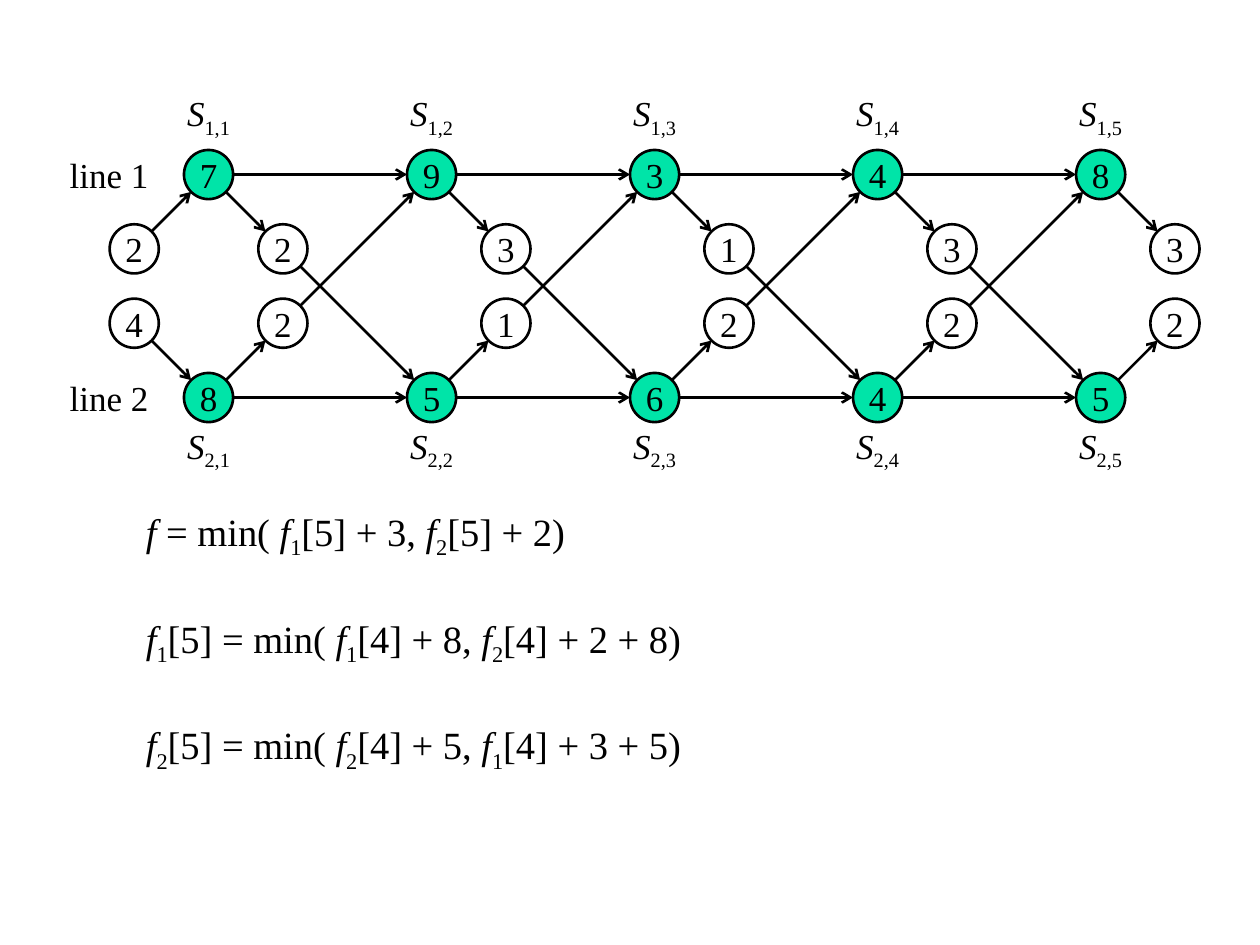
from math import hypot
from typing import NamedTuple

from lxml.etree import SubElement
from pptx import Presentation
from pptx.dml.color import RGBColor
from pptx.enum.shapes import MSO_CONNECTOR as Connector, MSO_SHAPE as Shape
from pptx.enum.text import MSO_ANCHOR as Anchor, PP_ALIGN as Align
from pptx.oxml.ns import qn
from pptx.util import Inches, Pt

COLORS = {"ink": "000000", "station": "00E4A8"}
FONT = "Times New Roman"
LABEL_SIZE, FORMULA_SIZE = 20, 22
LINE_WIDTH = Pt(1.5)

DIAMETER = 0.39
UNIT = 0.59  # step between neighbouring nodes, across and down
PITCH = 3 * UNIT  # step between stations of one line
FIRST_X, FIRST_Y = 1.655, 1.385

STATION_TIMES = [(7, 9, 3, 4, 8), (8, 5, 6, 4, 5)]
TRANSFER_TIMES = [(2, 3, 1, 3, 3), (2, 1, 2, 2, 2)]  # the last ones are exit times
ENTRY_TIMES = (2, 4)

FORMULAS = [
    "/f |= min( |/f|_1|[5] + 3, |/f|_2|[5] + 2)",
    "/f|_1|[5] = min( |/f|_1|[4] + 8, |/f|_2|[4] + 2 + 8)",
    "/f|_2|[5] = min( |/f|_2|[4] + 5, |/f|_1|[4] + 3 + 5)",
]


class Node(NamedTuple):
    x: float
    y: float
    time: int
    is_station: bool = False


def color(name: str) -> RGBColor:
    return RGBColor.from_string(COLORS[name])


def add_runs(paragraph, markup: str, size: int) -> None:
    """Add runs split at "|"; a leading "/" means italic, "_" means subscript."""
    for part in markup.split("|"):
        run = paragraph.add_run()
        run.text = part.lstrip("/_")
        run.font.name, run.font.size = FONT, Pt(size)
        run.font.color.rgb = color("ink")
        run.font.italic = part.startswith("/")
        if part.startswith("_"):
            run.font._element.set("baseline", "-25000")


def fill_frame(text_frame, markup: str, bottom: float = 0) -> None:
    """Put one centred line in the frame, raised by the bottom margin."""
    text_frame.word_wrap = False
    text_frame.vertical_anchor = Anchor.MIDDLE
    text_frame.margin_left = text_frame.margin_right = text_frame.margin_top = 0
    text_frame.margin_bottom = Inches(bottom)
    paragraph = text_frame.paragraphs[0]
    paragraph.alignment = Align.CENTER
    add_runs(paragraph, markup, LABEL_SIZE)


def add_label(slide, markup: str, center_x: float, center_y: float,
              width: float = DIAMETER, bottom: float = 0) -> None:
    box = slide.shapes.add_textbox(
        Inches(center_x - width / 2), Inches(center_y - DIAMETER / 2),
        Inches(width), Inches(DIAMETER))
    fill_frame(box.text_frame, markup, bottom)


def add_node(slide, node: Node) -> None:
    circle = slide.shapes.add_shape(
        Shape.OVAL, Inches(node.x - DIAMETER / 2), Inches(node.y - DIAMETER / 2),
        Inches(DIAMETER), Inches(DIAMETER))
    circle.shadow.inherit = False
    if node.is_station:
        circle.fill.solid()
        circle.fill.fore_color.rgb = color("station")
    else:
        circle.fill.background()
    circle.line.color.rgb = color("ink")
    circle.line.width = LINE_WIDTH
    fill_frame(circle.text_frame, str(node.time))


def add_arrow(slide, start: Node, end: Node) -> None:
    """Draw an arrow from the rim of one circle to the rim of another."""
    across, down = end.x - start.x, end.y - start.y
    scale = DIAMETER / 2 / hypot(across, down)
    trim_x, trim_y = across * scale, down * scale
    arrow = slide.shapes.add_connector(
        Connector.STRAIGHT,
        Inches(start.x + trim_x), Inches(start.y + trim_y),
        Inches(end.x - trim_x), Inches(end.y - trim_y))
    arrow.line.color.rgb = color("ink")
    arrow.line.width = LINE_WIDTH
    properties = arrow._element.spPr
    SubElement(properties.find(qn("a:ln")), qn("a:tailEnd"), type="arrow")
    SubElement(properties, qn("a:effectLst"))


def add_formulas(slide) -> None:
    box = slide.shapes.add_textbox(Inches(1.06), Inches(3.95), Inches(7.87), Inches(2.95))
    text_frame = box.text_frame
    text_frame.word_wrap = True
    text_frame.margin_top = Inches(0.08)
    for index, formula in enumerate(FORMULAS):
        paragraph = text_frame.add_paragraph() if index else text_frame.paragraphs[0]
        if index:
            paragraph.space_before = Pt(31)
        add_runs(paragraph, formula, FORMULA_SIZE)


def make_row(times: tuple[int, ...], x: float, y: float, is_station: bool) -> list[Node]:
    return [Node(x + PITCH * index, y, time, is_station)
            for index, time in enumerate(times)]


def main() -> None:
    presentation = Presentation()
    presentation.slide_width, presentation.slide_height = Inches(10), Inches(7.5)
    slide = presentation.slides.add_slide(presentation.slide_layouts[6])
    add_formulas(slide)

    line_y = (FIRST_Y, FIRST_Y + 3 * UNIT)
    inner_y = (FIRST_Y + UNIT, FIRST_Y + 2 * UNIT)
    stations = [make_row(STATION_TIMES[line], FIRST_X, line_y[line], True)
                for line in range(2)]
    transfers = [make_row(TRANSFER_TIMES[line], FIRST_X + UNIT, inner_y[line], False)
                 for line in range(2)]
    entries = [Node(FIRST_X - UNIT, inner_y[line], ENTRY_TIMES[line])
               for line in range(2)]

    for line in range(2):
        own, other = stations[line], stations[1 - line]
        for node in [entries[line], *own, *transfers[line]]:
            add_node(slide, node)
        add_arrow(slide, entries[line], own[0])
        for station, transfer in zip(own, transfers[line]):
            add_arrow(slide, station, transfer)
        for station, following in zip(own, own[1:]):
            add_arrow(slide, station, following)
        for transfer, target in zip(transfers[line], other[1:]):
            add_arrow(slide, transfer, target)

        add_label(slide, f"line {line + 1}", 0.865, line_y[line], width=0.79)
        label_y, bottom = ((line_y[0] - DIAMETER, 0.16) if line == 0
                           else (line_y[1] + 0.4, 0))
        for number, station in enumerate(own, start=1):
            add_label(slide, f"/S|_{line + 1},{number}", station.x, label_y, bottom=bottom)

    presentation.save("out.pptx")


if __name__ == "__main__":
    main()
